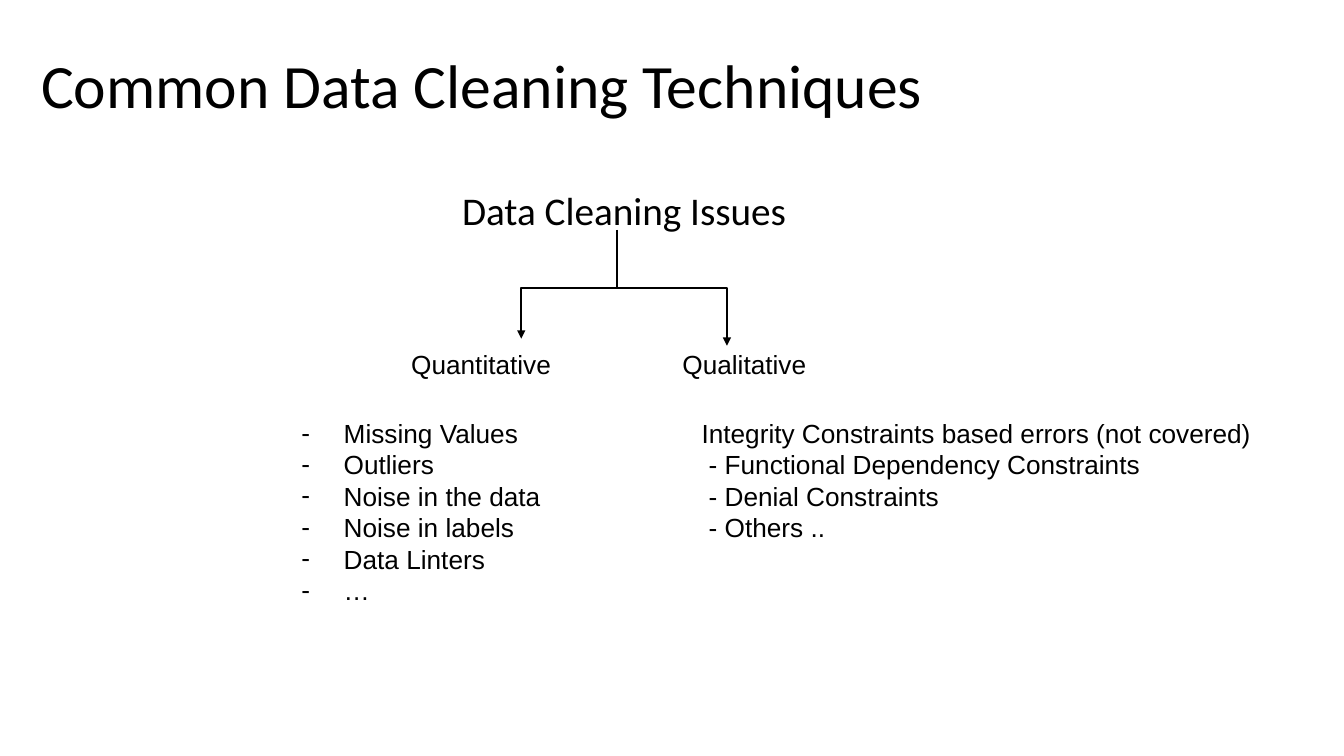
from lxml.etree import SubElement
from pptx import Presentation
from pptx.dml.color import RGBColor
from pptx.enum.shapes import MSO_CONNECTOR
from pptx.enum.text import MSO_ANCHOR, PP_ALIGN
from pptx.oxml.ns import qn
from pptx.util import Inches, Pt

COLORS = {"ink": "000000", "page": "FFFFFF"}
TITLE = {"name": "Calibri", "size": Pt(44)}
HEAD = {"name": "Calibri", "size": Pt(28)}
BODY = {"name": "Arial", "size": Pt(18.7)}

ISSUES = ["Missing Values", "Outliers", "Noise in the data",
          "Noise in labels", "Data Linters", "…"]
RULES = ["- Functional Dependency Constraints", "- Denial Constraints", "- Others .."]
KINDS = [("Quantitative", 3.98), ("Qualitative", 6.67)]
ROOT = (6.12, 2.28)
TIPS = [(5.17, 3.36), (7.21, 3.43)]
KNEE = 2.86


def ink():
    return RGBColor.from_string(COLORS["ink"])


def add_box(slide, area, wrap=True, anchor=MSO_ANCHOR.TOP):
    frame = slide.shapes.add_textbox(*map(Inches, area)).text_frame
    frame.word_wrap = wrap
    frame.vertical_anchor = anchor
    return frame


def add_lines(frame, lines, style, left=0, dash=False, **form):
    """Write paragraphs, with a left margin in inches and a hanging dash if asked."""
    for text in lines:
        para = frame.paragraphs[0] if not frame.text else frame.add_paragraph()
        para.text = text
        props = para._p.get_or_add_pPr()
        props.set("marL", str(Inches(left)))
        if dash:
            props.set("indent", str(-Inches(left)))
            SubElement(props, qn("a:buFont"), typeface="Arial")
            SubElement(props, qn("a:buChar"), char="-")
        for key, value in form.items():
            setattr(para, key, value)
        font = para.runs[0].font
        for key, value in style.items():
            setattr(font, key, value)
        font.color.rgb = ink()


def add_branch(slide, start, end, knee):
    """Draw an elbow arrow that leaves downward and turns at height knee."""
    (x1, y1), (x2, y2) = start, end
    side = 1 if x2 > x1 else -1
    mid, half = (x1 + x2) / 2, (y2 - y1) / 2
    top = (y1 + y2 - abs(x2 - x1)) / 2
    ends = (mid + side * half, top, mid - side * half, top + abs(x2 - x1))
    line = slide.shapes.add_connector(MSO_CONNECTOR.ELBOW, *map(Inches, ends))
    props = line._element.spPr
    props.find(qn("a:xfrm")).set("rot", str((270 if side > 0 else 90) * 60000))
    bend = round((knee - y1) / (y2 - y1) * 100000)
    guides = props.find(qn("a:prstGeom")).get_or_add_avLst()
    SubElement(guides, qn("a:gd"), name="adj1", fmla=f"val {bend}")
    line.line.color.rgb = ink()
    line.line.width = Pt(1.5)
    SubElement(props.find(qn("a:ln")), qn("a:tailEnd"), type="triangle")
    SubElement(props, qn("a:effectLst"))


def main():
    deck = Presentation()
    deck.slide_width, deck.slide_height = Inches(13.33), Inches(7.5)
    slide = deck.slides.add_slide(deck.slide_layouts[6])
    back = slide.background.fill
    back.solid()
    back.fore_color.rgb = RGBColor.from_string(COLORS["page"])

    title = add_box(slide, (0.31, 0.29, 9.13, 1.17), anchor=MSO_ANCHOR.MIDDLE)
    add_lines(title, ["Common Data Cleaning Techniques"], TITLE, line_spacing=0.9)
    head = add_box(slide, (0.46, 1.85, 10.46, 1.32))
    add_lines(head, ["Data Cleaning Issues"], HEAD, left=1,
              line_spacing=0.9, alignment=PP_ALIGN.CENTER)

    for tip in TIPS:
        add_branch(slide, ROOT, tip, KNEE)
    for kind, left in KINDS:
        add_lines(add_box(slide, (left, 3.41, 2.17, 0.42)), [kind], BODY)

    rules = add_box(slide, (6.86, 4.09, 5.68, 1.36), wrap=False)
    add_lines(rules, ["Integrity Constraints based errors (not covered)"], BODY)
    add_lines(rules, RULES, BODY, left=0.07)
    issues = add_box(slide, (2.89, 4.09, 2.58, 1.99), wrap=False)
    add_lines(issues, ISSUES, BODY, left=0.42, dash=True)

    deck.save("out.pptx")


if __name__ == "__main__":
    main()
